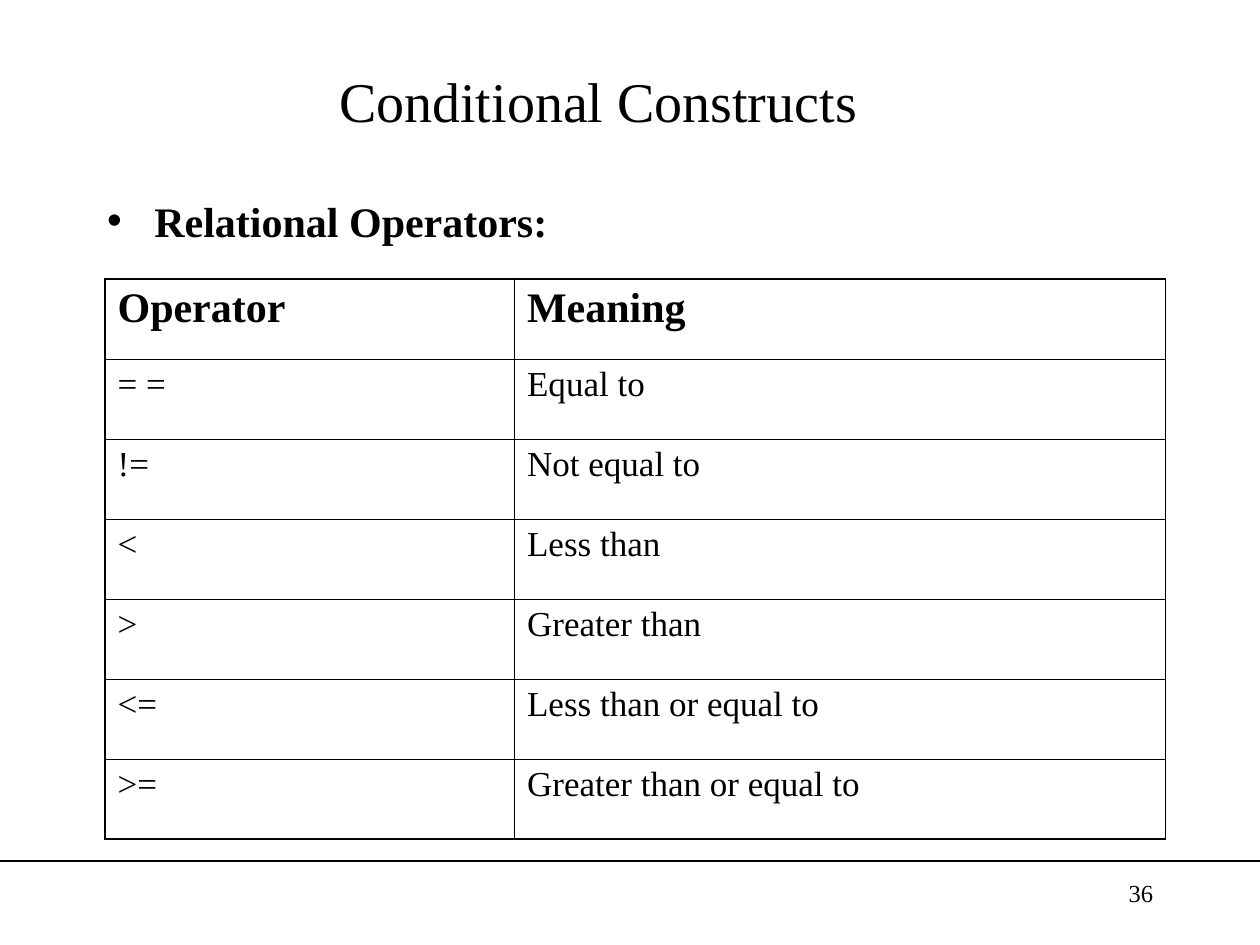
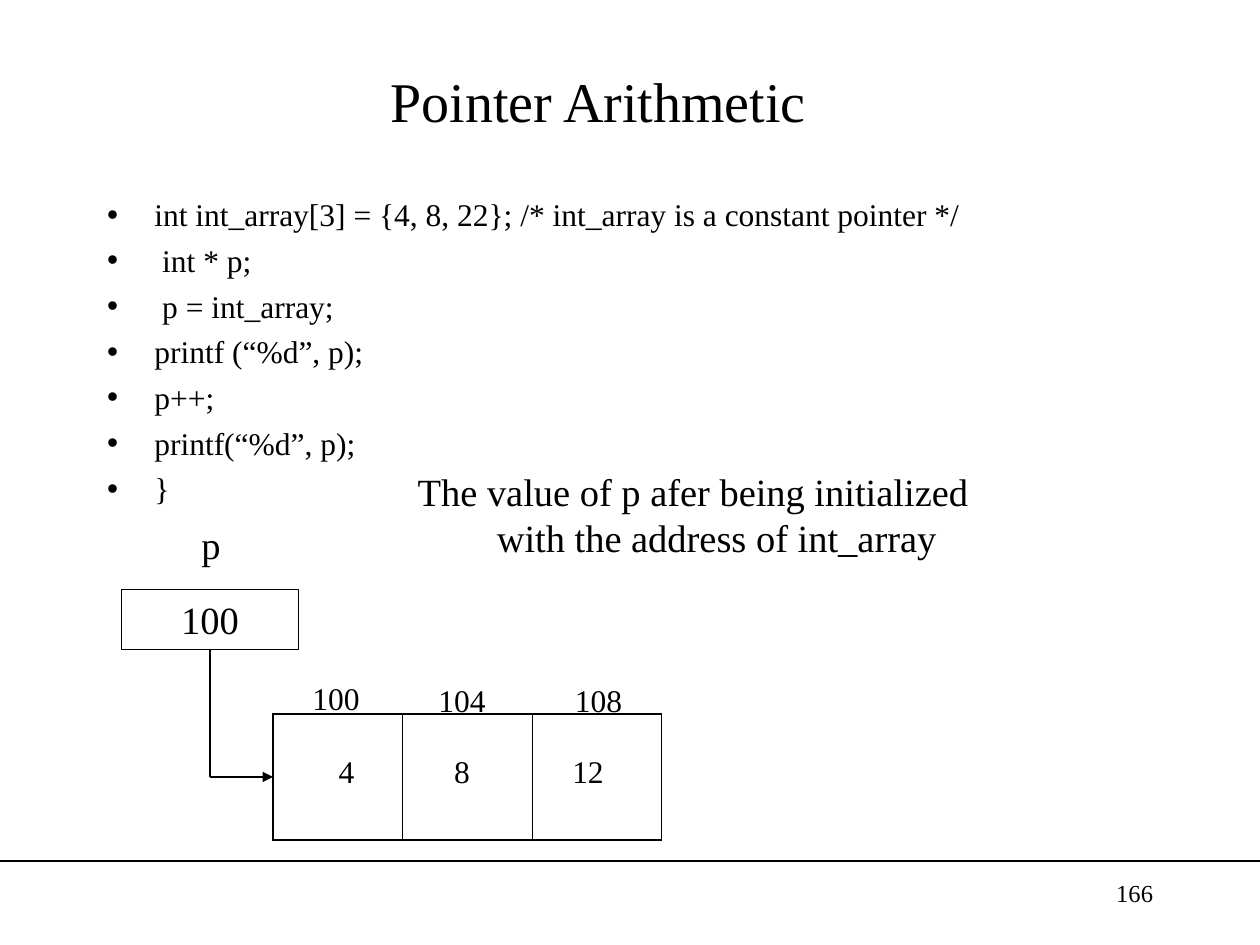
from lxml import etree
from pptx import Presentation
from pptx.dml.color import RGBColor
from pptx.enum import shapes, text
from pptx.oxml.ns import qn
from pptx.util import Pt

RELATIONAL = {
    "title": "Conditional Constructs",
    "bullets": ["Relational Operators:"],
    "number": "36",
}
OPERATORS = [
    ("Operator", "Meaning"),
    ("= =", "Equal to"),
    ("!=", "Not equal to"),
    ("<", "Less than"),
    (">", "Greater than"),
    ("<=", "Less than or equal to"),
    (">=", "Greater than or equal to"),
]
POINTERS = {
    "title": "Pointer Arithmetic",
    "bullets": [
        "int int_array[3] = {4, 8, 22}; /* int_array is a constant pointer */",
        " int * p;",
        " p = int_array;",
        "printf (“%d”, p);",
        "p++;",
        "printf(“%d”, p);",
        "}",
    ],
    "number": "166",
}
CAPTION = "The value of p afer being initialized with the address of int_array"
# text, centre x, top
ADDRESSES = [("100", 192, 384), ("104", 264, 385.2), ("108", 342, 385.2)]
VALUES = [("4", 198, 426), ("8", 264, 426), ("12", 336, 426)]

FONT = "Times New Roman"
INK = RGBColor(0, 0, 0)
PAPER = RGBColor(255, 255, 255)
WIDTH, HEIGHT = 720, 540
FOOTER_TOP = 492
OUTER, INNER, LINE = 1.08, 0.45, 0.75
CENTER, RIGHT = text.PP_ALIGN.CENTER, text.PP_ALIGN.RIGHT


def style(paragraph, size, bold=False, align=None):
    paragraph.font.name = FONT
    paragraph.font.size = Pt(size)
    paragraph.font.bold = bold
    paragraph.font.color.rgb = INK
    if align is not None:
        paragraph.alignment = align


def place(shape, left, top, width, height):
    shape.left, shape.top = Pt(left), Pt(top)
    shape.width, shape.height = Pt(width), Pt(height)


def add_label(slide, words, box, size, align=CENTER, anchor=text.MSO_ANCHOR.MIDDLE):
    frame = slide.shapes.add_textbox(*map(Pt, box)).text_frame
    frame.word_wrap = True
    frame.vertical_anchor = anchor
    frame.text = words
    style(frame.paragraphs[0], size, align=align)
    return frame.paragraphs[0]


def add_line(slide, *ends):
    line = slide.shapes.add_connector(shapes.MSO_CONNECTOR.STRAIGHT, *map(Pt, ends))
    line.line.color.rgb = INK
    line.line.width = Pt(LINE)
    etree.SubElement(line._element.spPr, qn("a:effectLst"))
    return line


def add_base_slide(deck, content, body_width, size, bold, gap):
    """Add a slide with its title, bullets, footer rule and number."""
    slide = deck.slides.add_slide(deck.slide_layouts[1])
    slide.background.fill.solid()
    slide.background.fill.fore_color.rgb = PAPER
    add_line(slide, 0, FOOTER_TOP, WIDTH, FOOTER_TOP)

    title, body = slide.placeholders
    place(title, 36, 18, 612, 78)
    title.text_frame.text = content["title"]
    style(title.text_frame.paragraphs[0], 32, align=CENTER)

    place(body, 54, 108, body_width, 372)
    body.text_frame.text = "\n".join(content["bullets"])
    body.text_frame.auto_size = text.MSO_AUTO_SIZE.NONE
    for index, paragraph in enumerate(body.text_frame.paragraphs):
        style(paragraph, size, bold)
        paragraph.space_before = Pt(gap if index else 0)

    add_label(slide, content["number"], (516, 498, 150, 36), 14, RIGHT,
              text.MSO_ANCHOR.TOP)
    return slide


def set_borders(cell, widths):
    """Draw the left, right, top and bottom borders, in that order."""
    properties = cell._tc.get_or_add_tcPr()
    for index, (side, width) in enumerate(zip("LRTB", widths)):
        border = etree.Element(qn(f"a:ln{side}"), w=str(Pt(width)))
        fill = etree.SubElement(border, qn("a:solidFill"))
        etree.SubElement(fill, qn("a:srgbClr"), val=str(INK))
        properties.insert(index, border)


def add_grid(slide, rows, box, column_widths):
    last_row, last_column = len(rows) - 1, len(column_widths) - 1
    table = slide.shapes.add_table(len(rows), len(column_widths), *map(Pt, box)).table
    table.first_row = table.horz_banding = False
    for column, width in zip(table.columns, column_widths):
        column.width = Pt(width)
    for r, row in enumerate(rows):
        for c, words in enumerate(row):
            cell = table.cell(r, c)
            cell.fill.background()
            at_edge = (c == 0, c == last_column, r == 0, r == last_row)
            set_borders(cell, [OUTER if edge else INNER for edge in at_edge])
            if words:
                cell.text = words
                style(cell.text_frame.paragraphs[0], 20 if r else 24, bold=r == 0)


def build_relational(deck):
    slide = add_base_slide(deck, RELATIONAL, 300, 24, True, 6)
    add_grid(slide, OPERATORS, (60, 159.3, 606, 320.4), (234, 372))


def build_pointers(deck):
    slide = add_base_slide(deck, POINTERS, 636, 18, False, 4.5)
    add_grid(slide, [("", "", "")], (156, 408, 222, 72), (74, 74, 74))

    pointer = slide.shapes.add_shape(
        shapes.MSO_SHAPE.RECTANGLE, *map(Pt, (69.25, 337, 101.5, 34)))
    pointer.shadow.inherit = False
    pointer.fill.background()
    pointer.line.color.rgb = INK
    pointer.line.width = Pt(LINE)
    pointer.text_frame.text = "100"
    style(pointer.text_frame.paragraphs[0], 22, align=CENTER)
    add_label(slide, "p", (81, 294, 79, 34), 22)

    stem = add_line(slide, 120, 371, 120, 444)
    stem.begin_connect(pointer, 2)
    arrow = add_line(slide, 120, 444, 156, 444)
    etree.SubElement(arrow.line._get_or_add_ln(), qn("a:tailEnd"), type="triangle")

    for words, center, top in ADDRESSES + VALUES:
        add_label(slide, words, (center - 24, top, 48, 29), 18)

    caption = add_label(slide, CAPTION, (210, 264, 372, 60.5), 22,
                        anchor=text.MSO_ANCHOR.TOP)
    indent = Pt(27)
    caption._p.get_or_add_pPr().set("marL", str(indent))
    caption._p.get_or_add_pPr().set("indent", str(-indent))


def main():
    deck = Presentation()
    deck.slide_width, deck.slide_height = Pt(WIDTH), Pt(HEIGHT)
    build_relational(deck)
    build_pointers(deck)
    deck.save("out.pptx")


if __name__ == "__main__":
    main()
